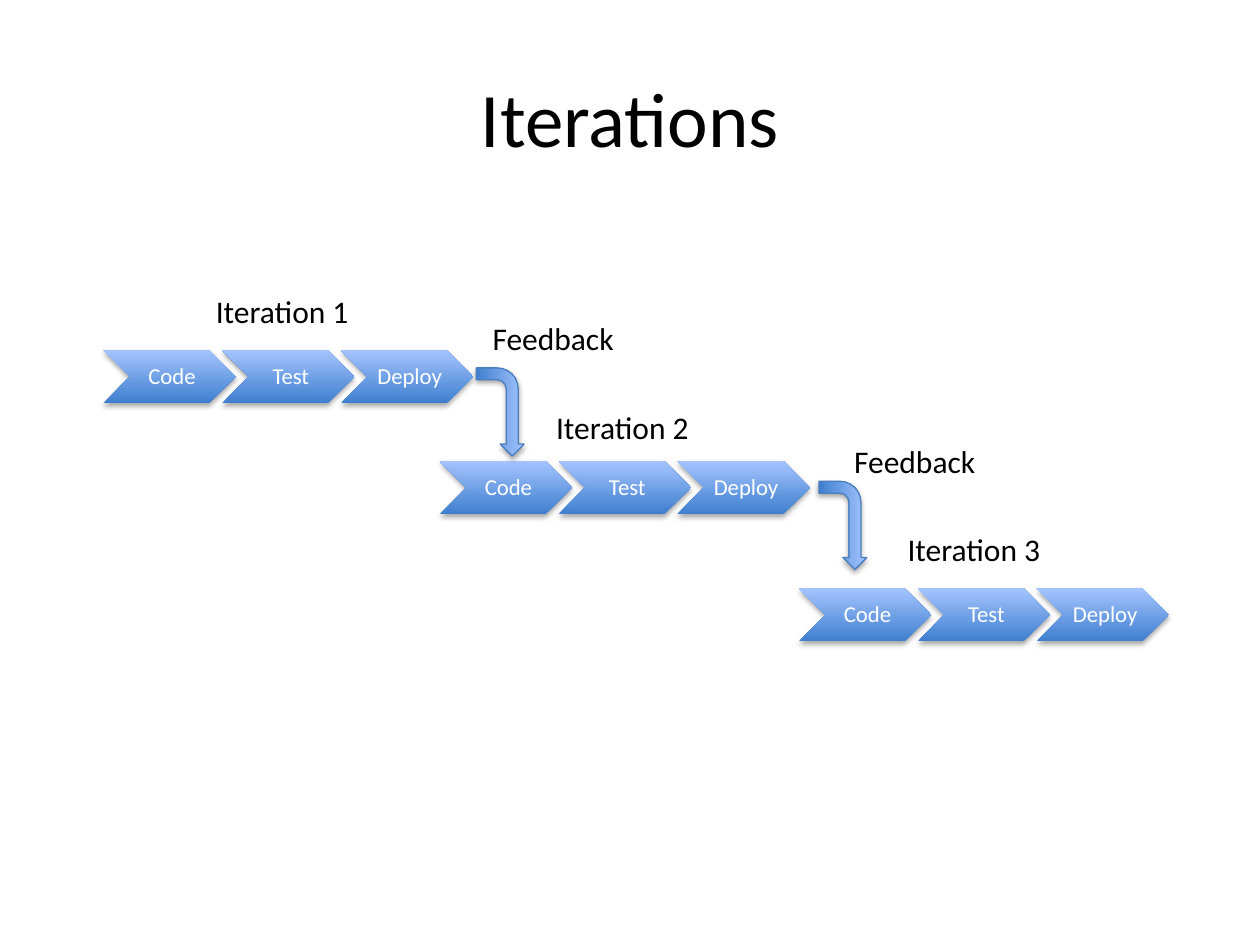
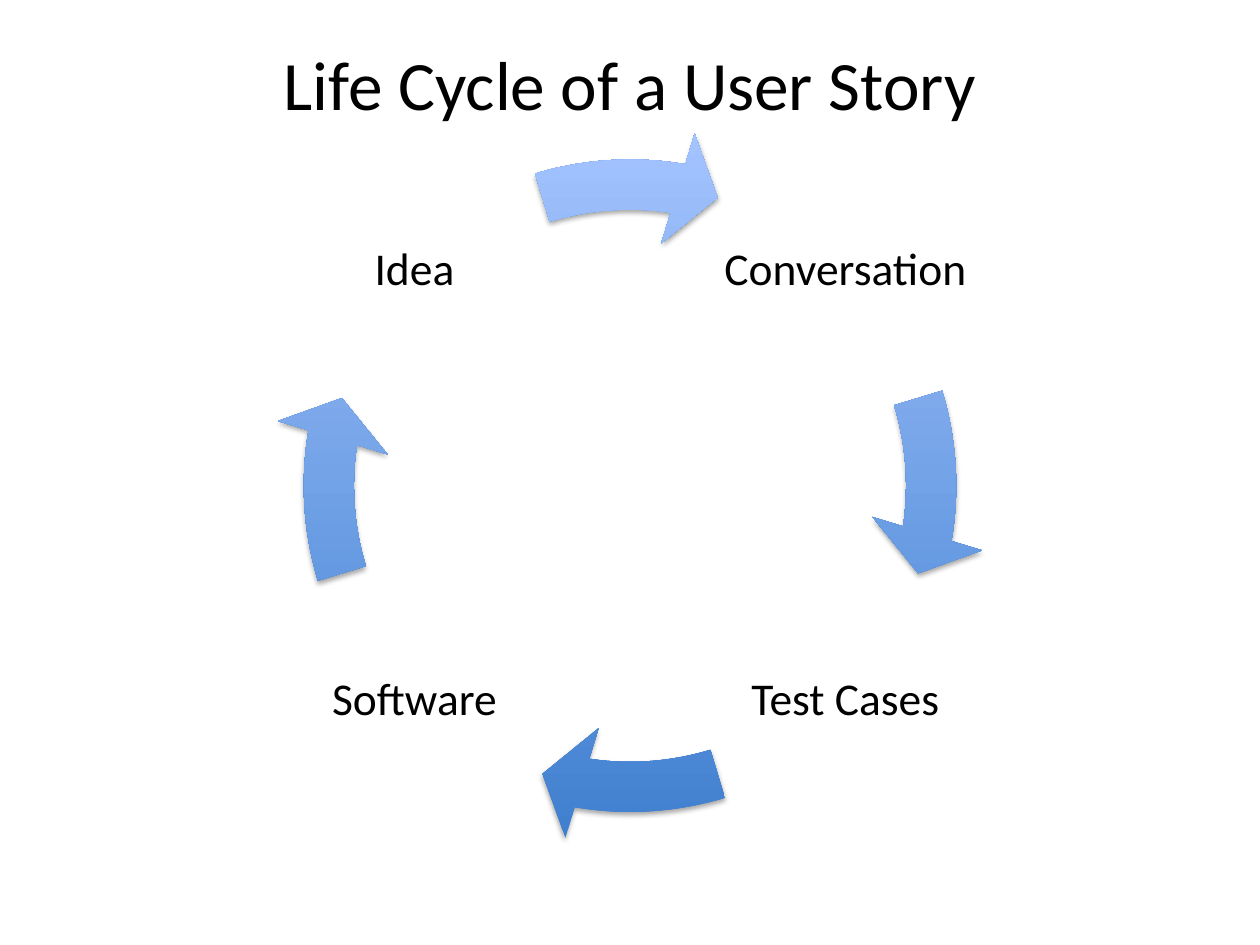
from dataclasses import dataclass

import lxml.etree
import pptx
import pptx.dml.color
import pptx.enum.shapes
import pptx.enum.text
import pptx.oxml.ns
import pptx.shapes.autoshape
import pptx.slide
import pptx.text.text
import pptx.util

# The slide is a grid of 100 columns by 75 rows of square cells.
COLUMNS, ROWS = 100, 75
CELL = pptx.util.Inches(0.1)

FONT = "Calibri"
BLACK, WHITE = "000000", "FFFFFF"
DARK_BLUE, LIGHT_BLUE, OUTLINE_BLUE = "3F7FCE", "A4C4FF", "4B7EBC"
SHAPES = pptx.enum.shapes.MSO_SHAPE


@dataclass(frozen=True)
class Area:
    """A rectangle in grid columns and rows."""

    left: float
    top: float
    width: float
    height: float

    def lengths(self) -> list[int]:
        return [round(cells * CELL) for cells in (self.left, self.top, self.width, self.height)]


@dataclass(frozen=True)
class Iteration:
    name: str
    left: float
    top: float
    label_left: float
    label_top: float


@dataclass(frozen=True)
class Feedback:
    arrow_left: float
    arrow_top: float
    label_left: float
    label_top: float


@dataclass(frozen=True)
class Stage:
    """A stage of the cycle, with its side of the centre across and down."""

    name: str
    across: int
    down: int


STEPS = ("Code", "Test", "Deploy")
STEP_PITCH, STEP_WIDTH, STEP_HEIGHT = 9.43, 10.5, 4.2
ITERATIONS = (
    Iteration("Iteration 1", 8.2, 27.8, 15.7, 22.7),
    Iteration("Iteration 2", 34.9, 36.6, 42.7, 31.9),
    Iteration("Iteration 3", 63.4, 46.7, 70.6, 41.6),
)
FEEDBACKS = (
    Feedback(36.2, 30.8, 37.2, 24.8),
    Feedback(63.4, 39.8, 65.9, 34.6),
)

STAGES = (
    Stage("Conversation", 1, -1),
    Stage("Test Cases", 1, 1),
    Stage("Software", -1, 1),
    Stage("Idea", -1, -1),
)
CYCLE_X, CYCLE_Y, CYCLE_SIZE = 50, 38.55, 56.9
STAGE_OFFSET, STAGE_SIZE = 17.1, 20.1
# Arrow angles are in units of 100000 / 60000 degrees.
FULL_TURN = 216
QUARTER_TURN = FULL_TURN / 4
ARROW_END, ARROW_START = 5.5, 205.84


def colour(value: str) -> pptx.dml.color.RGBColor:
    return pptx.dml.color.RGBColor.from_string(value)


def write(
    frame: pptx.text.text.TextFrame,
    text: str,
    size: float,
    text_colour: str = BLACK,
    spacing: float = 1.0,
) -> None:
    frame.word_wrap = True
    frame.vertical_anchor = pptx.enum.text.MSO_ANCHOR.MIDDLE
    para = frame.paragraphs[0]
    para.alignment = pptx.enum.text.PP_ALIGN.CENTER
    para.line_spacing = spacing
    span = para.add_run()
    span.text = text
    span.font.name = FONT
    span.font.size = pptx.util.Pt(size)
    span.font.color.rgb = colour(text_colour)


def set_insets(
    frame: pptx.text.text.TextFrame, left: float, others: float
) -> None:
    frame.margin_left = pptx.util.Inches(left)
    frame.margin_top = frame.margin_right = frame.margin_bottom = pptx.util.Inches(others)


def add_text(
    page: pptx.slide.Slide, area: Area, text: str, size: float, spacing: float = 1.0
) -> pptx.text.text.TextFrame:
    frame = page.shapes.add_textbox(*area.lengths()).text_frame
    write(frame, text, size, spacing=spacing)
    return frame


def add_label(page: pptx.slide.Slide, left: float, top: float, text: str) -> None:
    add_text(page, Area(left, top, 13.4, 4), text, 18)


def add_soft_shadow(shape: pptx.shapes.autoshape.Shape) -> None:
    shape.shadow.inherit = False
    qn = pptx.oxml.ns.qn
    effects = shape.element.spPr.find(qn("a:effectLst"))
    shadow = lxml.etree.SubElement(
        effects,
        qn("a:outerShdw"),
        blurRad=str(pptx.util.Pt(3.1)),
        dist=str(pptx.util.Pt(1.8)),
        dir="5400000",
        rotWithShape="0",
    )
    tone = lxml.etree.SubElement(shadow, qn("a:srgbClr"), val=BLACK)
    lxml.etree.SubElement(tone, qn("a:alpha"), val="35000")


def add_blue_shape(
    page: pptx.slide.Slide, kind: pptx.enum.shapes.MSO_SHAPE, area: Area
) -> pptx.shapes.autoshape.Shape:
    """Add a shape shaded from dark at its bottom to light at its top."""
    shape = page.shapes.add_shape(kind, *area.lengths())
    shape.fill.gradient()
    shape.fill.gradient_angle = 90
    for stop, shade in zip(shape.fill.gradient_stops, (DARK_BLUE, LIGHT_BLUE)):
        stop.color.rgb = colour(shade)
    shape.line.fill.background()
    add_soft_shadow(shape)
    return shape


def add_iteration(page: pptx.slide.Slide, iteration: Iteration) -> None:
    for index, step in enumerate(STEPS):
        left = iteration.left + index * STEP_PITCH
        area = Area(left, iteration.top, STEP_WIDTH, STEP_HEIGHT)
        chevron = add_blue_shape(page, SHAPES.CHEVRON, area)
        set_insets(chevron.text_frame, 0.06, 0.02)
        write(chevron.text_frame, step, 13, WHITE, 0.9)
    add_label(page, iteration.label_left, iteration.label_top, iteration.name)


def add_feedback(page: pptx.slide.Slide, feedback: Feedback) -> None:
    area = Area(feedback.arrow_left, feedback.arrow_top, 7, 3.8)
    arrow = add_blue_shape(page, SHAPES.BENT_ARROW, area)
    arrow.rotation = 90
    arrow.line.color.rgb = colour(OUTLINE_BLUE)
    arrow.line.width = pptx.util.Pt(0.75)
    add_label(page, feedback.label_left, feedback.label_top, "Feedback")


def add_stage(page: pptx.slide.Slide, index: int, stage: Stage) -> None:
    """Add a stage's name and the arrow that leaves it."""
    half = STAGE_SIZE / 2
    area = Area(
        CYCLE_X + stage.across * STAGE_OFFSET - half,
        CYCLE_Y + stage.down * STAGE_OFFSET - half,
        STAGE_SIZE,
        STAGE_SIZE,
    )
    set_insets(add_text(page, area, stage.name, 26, 0.9), 0.04, 0.04)

    radius = CYCLE_SIZE / 2
    ring = Area(CYCLE_X - radius, CYCLE_Y - radius, CYCLE_SIZE, CYCLE_SIZE)
    arrow = add_blue_shape(page, SHAPES.CIRCULAR_ARROW, ring)
    turn = index * QUARTER_TURN
    angles = (0.07, 4.65, ARROW_END + turn, (ARROW_START + turn) % FULL_TURN, 0.08)
    for position, value in enumerate(angles):
        arrow.adjustments[position] = value


def add_page(
    deck: pptx.presentation.Presentation, title: str, size: float, height: float
) -> pptx.slide.Slide:
    page = deck.slides.add_slide(deck.slide_layouts[6])
    add_text(page, Area(5, 3, 90, height), title, size)
    return page


def main() -> None:
    deck = pptx.Presentation()
    deck.slide_width = COLUMNS * CELL
    deck.slide_height = ROWS * CELL

    page = add_page(deck, "Iterations", 44, 12.5)
    for iteration in ITERATIONS:
        add_iteration(page, iteration)
    for feedback in FEEDBACKS:
        add_feedback(page, feedback)

    page = add_page(deck, "Life Cycle of a User Story", 39.6, 7.1)
    for index, stage in enumerate(STAGES):
        add_stage(page, index, stage)

    deck.save("out.pptx")


if __name__ == "__main__":
    main()
